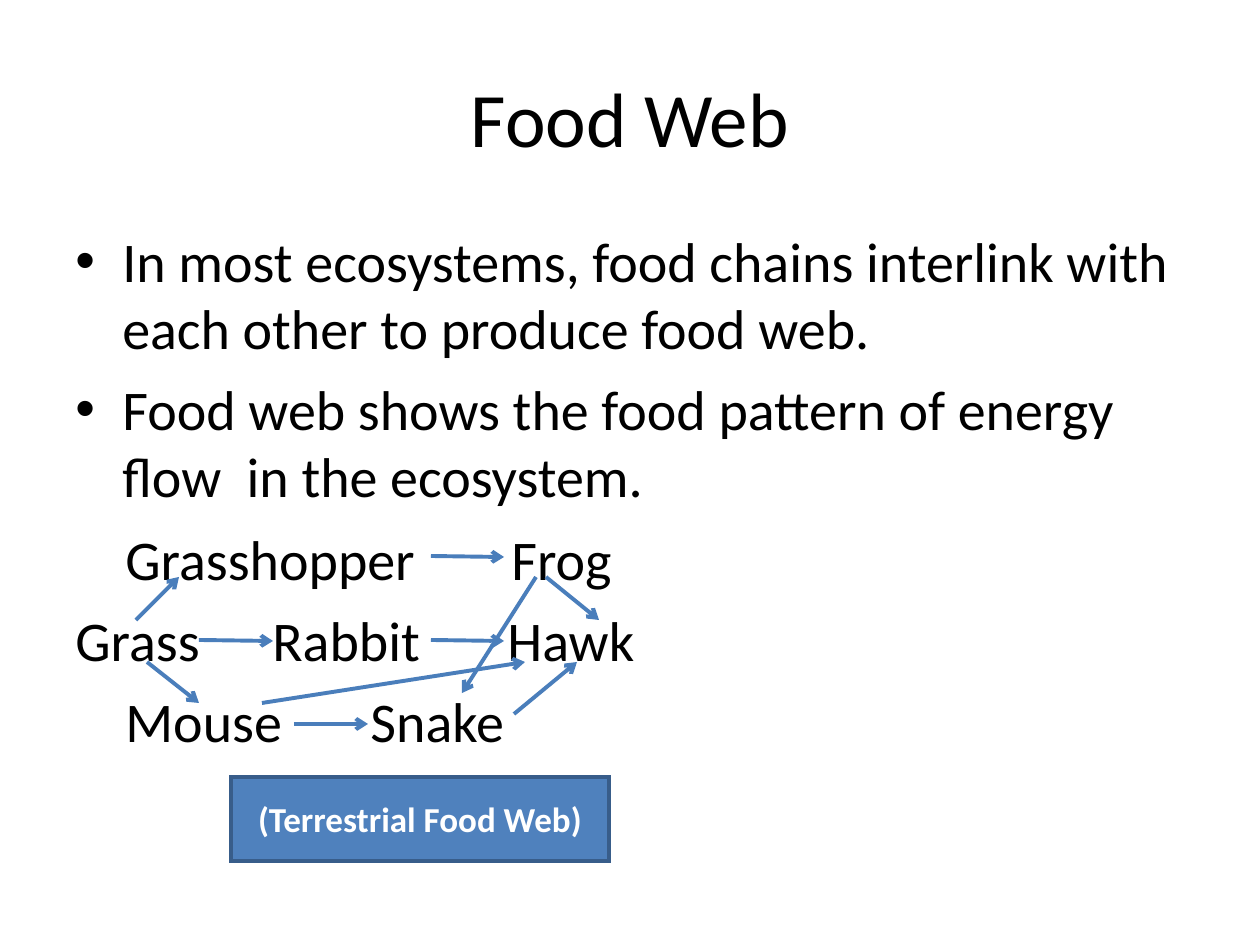
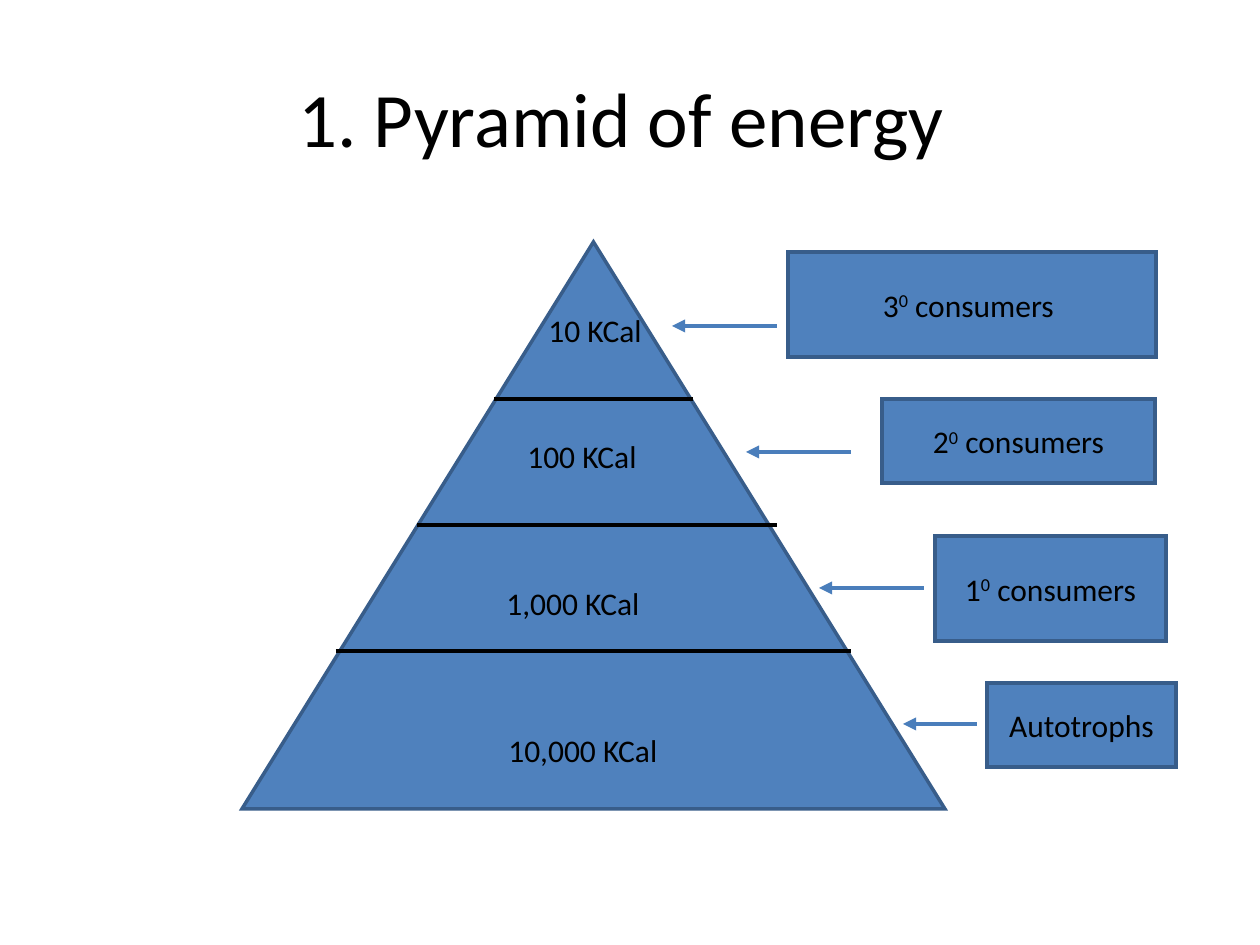
from lxml.etree import SubElement
from pptx import Presentation
from pptx.dml.color import RGBColor
from pptx.enum.shapes import MSO_CONNECTOR, MSO_SHAPE
from pptx.enum.text import MSO_ANCHOR, PP_ALIGN
from pptx.oxml.ns import qn
from pptx.util import Pt

SCALE = 914400 / 126
HUES = {"ink": "000000", "paper": "FFFFFF", "fill": "4F81BD",
        "edge": "385D8A", "arrow": "4A7EBB"}
FORMS = {
    "title": {"name": "Calibri", "size": Pt(44), "bold": False},
    "body": {"name": "Calibri", "size": Pt(32), "bold": False},
    "label": {"name": "Calibri", "size": Pt(18), "bold": False},
    "badge": {"name": "Calibri", "size": Pt(20), "bold": True},
}
CENTER = PP_ALIGN.CENTER


def px(n):
    return round(n * SCALE)


def hue(key):
    return RGBColor.from_string(HUES[key])


# Text: pieces between ^ marks are raised
def write(para, text, form, color="ink", align=PP_ALIGN.LEFT):
    para.alignment = align
    for i, piece in enumerate(text.split("^")):
        run = para.add_run()
        run.text = piece
        for key, value in FORMS[form].items():
            setattr(run.font, key, value)
        run.font.color.rgb = hue(color)
        if i % 2:
            run._r.get_or_add_rPr().set("baseline", "30000")


def indent(para, left, first=0):
    props = para._p.get_or_add_pPr()
    props.set("marL", str(px(left)))
    props.set("indent", str(px(first)))
    return props


def bullet(para):
    props = indent(para, 47, -47)
    SubElement(props, qn("a:buFont"), typeface="Arial")
    SubElement(props, qn("a:buChar"), char="•")


def frame(slide, *box):
    area = slide.shapes.add_textbox(*map(px, box)).text_frame
    area.word_wrap = True
    return area


def title(slide, text):
    area = frame(slide, 63, 38, 1134, 158)
    area.vertical_anchor = MSO_ANCHOR.MIDDLE
    write(area.paragraphs[0], text, "title", align=CENTER)


def label(slide, text, box, pad=0, form="label"):
    para = frame(slide, *box).paragraphs[0]
    indent(para, pad)
    write(para, text, form)


# Shapes and lines
def solid(slide, kind, box, text="", form="label", color="ink"):
    shape = slide.shapes.add_shape(kind, *map(px, box))
    shape.shadow.inherit = False
    shape.fill.solid()
    shape.fill.fore_color.rgb = hue("fill")
    shape.line.color.rgb = hue("edge")
    shape.line.width = Pt(2)
    SubElement(shape._element.spPr.find(qn("a:ln")), qn("a:miter"), lim="800000")
    if text:
        area = shape.text_frame
        area.word_wrap = True
        area.vertical_anchor = MSO_ANCHOR.MIDDLE
        write(area.paragraphs[0], text, form, color, CENTER)


def link(slide, ends, color="arrow", width=2.25, tip=None):
    line = slide.shapes.add_connector(MSO_CONNECTOR.STRAIGHT, *map(px, ends))
    line.line.color.rgb = hue(color)
    line.line.width = Pt(width)
    props = line._element.spPr
    if tip:
        SubElement(props.find(qn("a:ln")), qn("a:tailEnd"), type=tip)
    SubElement(props, qn("a:effectLst"))


# Slide 1: food web
def web(slide):
    title(slide, "Food Web")
    points = [
        "In most ecosystems, food chains interlink with each other to produce food web.",
        "Food web shows the food pattern of energy flow  in the ecosystem.",
    ]
    area = frame(slide, 63, 220, 1134, 290)
    for i, text in enumerate(points):
        para = area.add_paragraph() if i else area.paragraphs[0]
        if i:
            para.space_before = Pt(8)
        bullet(para)
        write(para, text, "body")

    # Each row: name, left and width
    chains = [
        [("Grasshopper", 113, 340), ("Frog", 499, 140)],
        [("Grass", 63, 170), ("Rabbit", 260, 190), ("Hawk", 495, 170)],
        [("Mouse", 113, 200), ("Snake", 358, 180)],
    ]
    for i, chain in enumerate(chains):
        for name, left, width in chain:
            label(slide, name, (left, 518 + 81 * i, width, 81), form="body")

    arrows = [
        (199, 640, 273, 641),  # grass to rabbit
        (431, 640, 504, 641),  # rabbit to hawk
        (147, 662, 199, 703),  # grass to mouse
        (294, 724, 368, 724),  # mouse to snake
        (431, 556, 504, 557),  # grasshopper to frog
        (514, 714, 577, 662),  # snake to hawk
        (546, 577, 599, 620),  # frog to hawk
        (136, 620, 179, 577),  # grass to grasshopper
        (262, 703, 525, 662),  # mouse to hawk
        (536, 577, 462, 693),  # frog to snake
    ]
    for ends in arrows:
        link(slide, ends, tip="arrow")
    solid(slide, MSO_SHAPE.RECTANGLE, (231, 777, 378, 84),
          "(Terrestrial Food Web)", "badge", "paper")


# Slide 2: pyramid of energy
def tower(slide):
    title(slide, "1. Pyramid of energy ")
    solid(slide, MSO_SHAPE.ISOSCELES_TRIANGLE, (242, 242, 703, 567))
    cuts = [(494, 693), (417, 777), (336, 851)]
    for i, (left, right) in enumerate(cuts):
        y = 399 + 126 * i
        link(slide, (left, y, right, y), "ink")

    # Energy, its box and pad; arrow start, end and height; group and its box
    levels = [
        ("10 KCal", (536, 305, 147, 50), 0, (777, 672, 326),
         "3^0^ consumers ", (788, 252, 368, 105)),
        ("100 KCal", (494, 431, 168, 50), 21, (851, 746, 452),
         "2^0^ consumers", (882, 399, 273, 84)),
        ("1,000 KCal", (473, 578, 210, 50), 21, (924, 819, 588),
         "1^0^ consumers", (935, 536, 231, 105)),
        ("10,000 KCal", (451, 725, 262, 50), 45, (977, 903, 724),
         "Autotrophs", (987, 683, 189, 84)),
    ]
    for energy, spot, pad, (start, end, y), group, box in levels:
        label(slide, energy, spot, pad)
        link(slide, (start, y, end, y), width=2.5, tip="triangle")
        solid(slide, MSO_SHAPE.RECTANGLE, box, group)


def main():
    deck = Presentation()
    deck.slide_width, deck.slide_height = px(1260), px(945)
    for build in (web, tower):
        build(deck.slides.add_slide(deck.slide_layouts[6]))
    deck.save("out.pptx")


if __name__ == "__main__":
    main()
